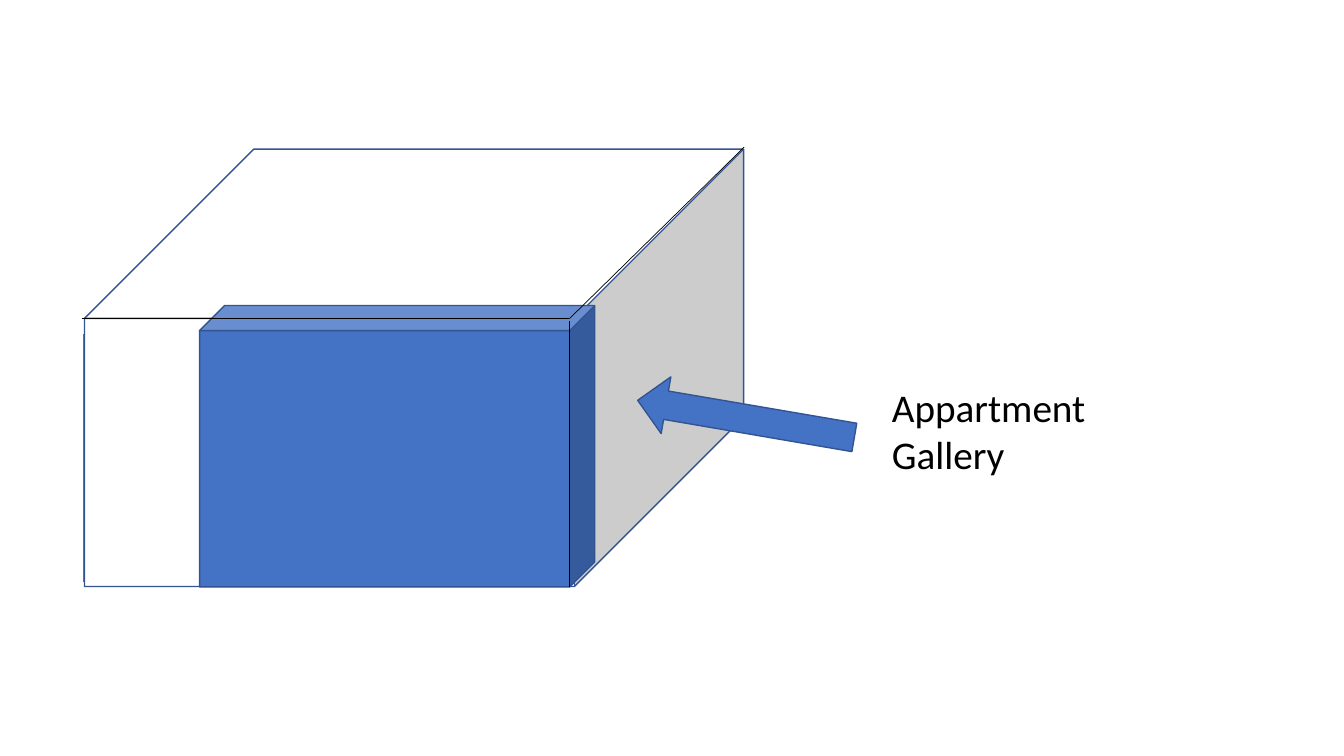
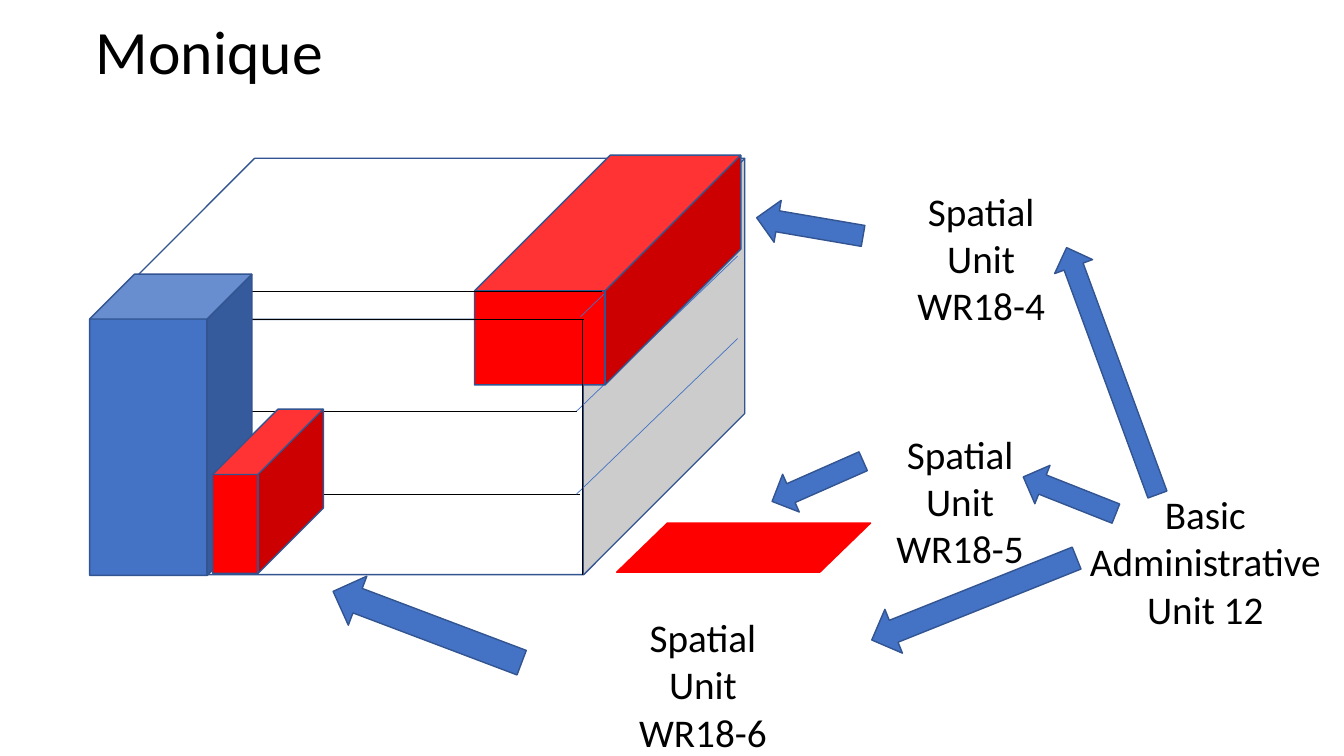
from pptx import Presentation
from pptx.dml.color import RGBColor
from pptx.enum.shapes import MSO_CONNECTOR, MSO_SHAPE
from pptx.enum.text import MSO_ANCHOR, MSO_AUTO_SIZE, PP_ALIGN
from pptx.oxml import parse_xml
from pptx.oxml.ns import nsdecls
from pptx.util import Cm, Pt

HUES = {"white": "FFFFFF", "black": "000000", "blue": "4472C4",
        "navy": "325491", "red": "FF0000"}
FONT = "Calibri"

# Content: all places and sizes in cm; parts run from back to front
# cube: left, top, width, height, depth, fill
# line: from x, from y, to x, to y, colour
# arrow: left, top, width, height, turn
# label: left, top, width, height, lines, alignment
# plate: left, top, width, height, fill
UNIT = (6.17, 3.84)
GALLERY = [
    ("cube", 2.13, 3.76, 16.61, 11.02, 0.387, "white"),
    ("line", 2.11, 14.66, 2.11, 8.41, "blue"),
    ("cube", 5.03, 7.7, 9.96, 7.09, 0.089, "blue"),
    ("line", 2.06, 8.03, 14.35, 8.03, "black"),
    ("line", 14.35, 14.78, 14.35, 8.08, "black"),
    ("line", 14.35, 8.03, 18.75, 3.71, "black"),
    ("label", 22.23, 9.53, 6.17, 2.64, ["Appartment", "Gallery"], PP_ALIGN.LEFT),
    ("arrow", 16.03, 9.83, 5.54, 1.45, 189.7),
]
UNITS = [
    ("cube", 2.36, 3.99, 16.41, 10.49, 0.387, "white"),
    ("line", 2.36, 12.45, 14.61, 12.45, "black"),
    ("line", 14.61, 8.05, 15.19, 7.42, "blue"),
    ("line", 14.53, 12.45, 18.59, 8.53, "blue"),
    ("line", 14.53, 10.36, 18.59, 6.45, "blue"),
    ("line", 2.36, 10.36, 14.53, 10.36, "black"),
    ("cube", 11.96, 3.91, 6.71, 5.79, 0.591, "red"),
    ("line", 2.36, 8.05, 14.71, 8.05, "black"),
    ("line", 14.68, 14.48, 14.68, 8.05, "black"),
    ("line", 14.63, 7.98, 15.21, 7.42, "blue"),
    ("line", 15.16, 7.34, 2.97, 7.34, "black"),
    ("cube", 2.26, 6.91, 4.09, 7.59, 0.276, "blue"),
    ("cube", 5.36, 10.31, 2.79, 4.14, 0.591, "red"),
    ("plate", 15.54, 13.18, 6.4, 1.24, "red"),
    ("arrow", 8.23, 15.14, 5.08, 1.32, 200.7),
    ("arrow", 19.05, 5.18, 2.72, 1.07, 189.7),
    ("arrow", 24.71, 8.84, 6.63, 1.02, 249.8),
    ("arrow", 21.77, 14.5, 5.56, 1.19, 158.2),
    ("arrow", 25.7, 11.96, 2.51, 1.04, 201.6),
    ("arrow", 19.35, 11.61, 2.51, 1.04, 156.2),
    ("label", 26.31, 12.24, 8.13, 3.84,
     ["Basic", "Administrative", "Unit 12"], PP_ALIGN.CENTER),
    ("label", 21.64, 4.6, *UNIT, ["Spatial", "Unit", "WR18-4"], PP_ALIGN.CENTER),
    ("label", 14.63, 15.34, *UNIT, ["Spatial", "Unit", "WR18-6"], PP_ALIGN.CENTER),
    ("label", 21.11, 10.72, *UNIT, ["Spatial", "Unit", "WR18-5"], PP_ALIGN.CENTER),
]
SLIDES = [(None, GALLERY), ("Monique", UNITS)]
TITLE = (2.16, 0.41, 29.21, 3.68)


def hue(name):
    return RGBColor.from_string(HUES[name])


def write(frame, lines, size=28, color="black", align=PP_ALIGN.LEFT, space=1.0):
    frame.word_wrap = True
    frame.auto_size = MSO_AUTO_SIZE.NONE
    frame.vertical_anchor = MSO_ANCHOR.TOP
    for i, line in enumerate(lines):
        para = frame.add_paragraph() if i else frame.paragraphs[0]
        para.text = line
        para.alignment = align
        para.line_spacing = space
        para.font.name = FONT
        para.font.size = Pt(size)
        para.font.color.rgb = hue(color)


# Drawing of each kind of part
def solid(slide, kind, box, fill, edge="navy"):
    shape = slide.shapes.add_shape(kind, *map(Cm, box))
    shape.shadow.inherit = False
    shape.fill.solid()
    shape.fill.fore_color.rgb = hue(fill)
    shape.line.color.rgb = hue(edge)
    shape.line.width = Pt(1)
    return shape


def cube(slide, *args):
    *box, depth, fill = args
    solid(slide, MSO_SHAPE.CUBE, box, fill).adjustments[0] = depth


def arrow(slide, *args):
    *box, turn = args
    solid(slide, MSO_SHAPE.RIGHT_ARROW, box, "blue").rotation = turn


def plate(slide, *args):
    *box, fill = args
    solid(slide, MSO_SHAPE.FLOWCHART_DATA, box, fill, edge=fill)


def line(slide, *args):
    *ends, color = args
    rule = slide.shapes.add_connector(MSO_CONNECTOR.STRAIGHT, *map(Cm, ends))
    rule.line.color.rgb = hue(color)
    rule.line.width = Pt(0.5)
    rule._element.spPr.append(parse_xml(f"<a:effectLst {nsdecls('a')}/>"))


def label(slide, *args):
    *box, lines, align = args
    write(slide.shapes.add_textbox(*map(Cm, box)).text_frame, lines, align=align)


DRAW = {"cube": cube, "arrow": arrow, "plate": plate, "line": line, "label": label}


def main():
    deck = Presentation()
    deck.slide_width, deck.slide_height = Cm(33.87), Cm(19.05)
    for title, parts in SLIDES:
        layout = deck.slide_layouts[5 if title else 6]
        slide = deck.slides.add_slide(layout)
        if title:
            head = slide.shapes.title
            head.left, head.top, head.width, head.height = map(Cm, TITLE)
            write(head.text_frame, [title], size=44, space=0.9)
        for kind, *args in parts:
            DRAW[kind](slide, *args)
    deck.save("out.pptx")


if __name__ == "__main__":
    main()
